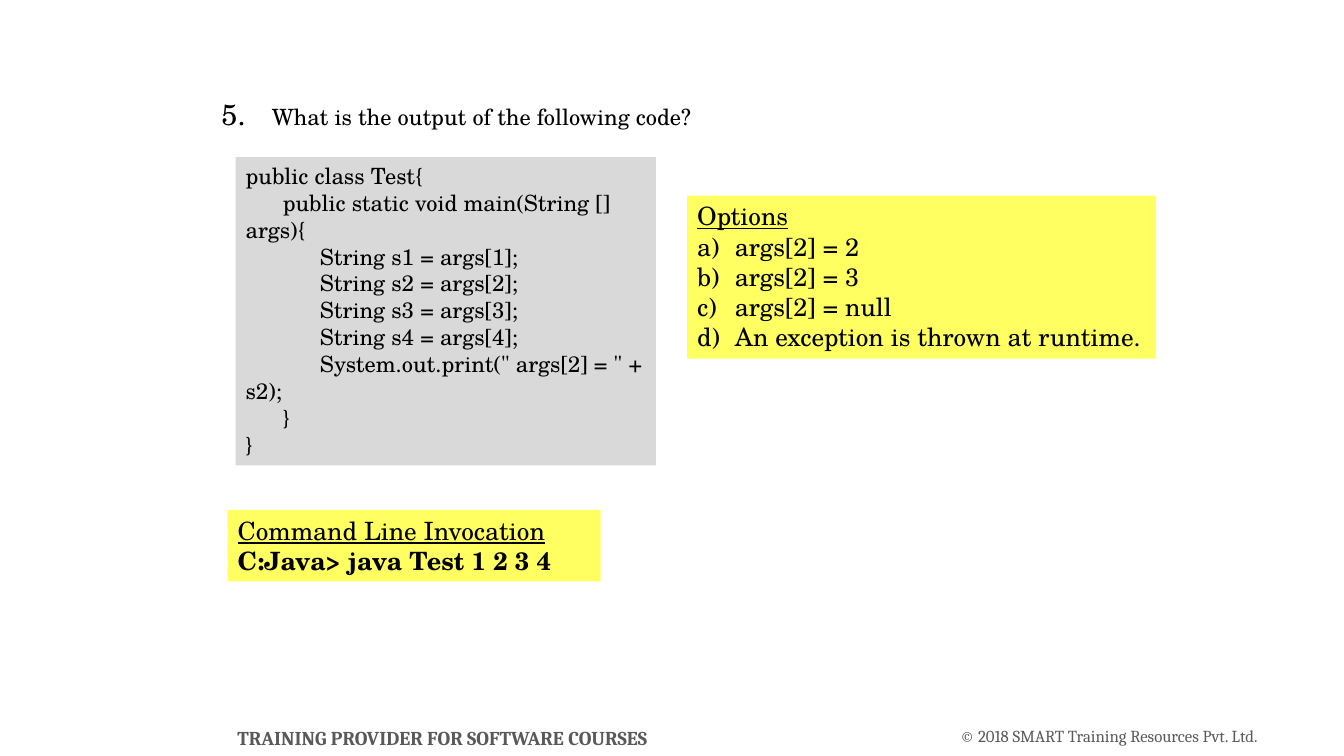
from lxml import etree
from pptx import Presentation
from pptx.dml.color import RGBColor
from pptx.enum import shapes, text
from pptx.oxml import ns
from pptx.util import Cm, Pt

BLACK = RGBColor(0x00, 0x00, 0x00)
FOOTER_GREY = RGBColor(0x59, 0x59, 0x59)
CODE_GREY = RGBColor(0xD9, 0xD9, 0xD9)
YELLOW = RGBColor(0xFF, 0xFF, 0x61)
BODY_FONT = "TeX Gyre Schola"
FOOTER_FONT = "Cambria"

CODE = """public class Test{
      public static void main(String [] args){
            String s1 = args[1];
            String s2 = args[2];
            String s3 = args[3];
            String s4 = args[4];
            System.out.print(" args[2] = " + s2);
      }
}"""
ANSWERS = ["args[2] = 2", "args[2] = 3", "args[2] = null",
           "An exception is thrown at runtime."]


def write_lines(frame, lines, size, font=BODY_FONT, color=BLACK):
    frame.word_wrap = True
    frame.text = "\n".join(lines)
    for paragraph in frame.paragraphs:
        for run in paragraph.runs:
            run.font.size = Pt(size)
            run.font.name = font
            run.font.color.rgb = color


def number(paragraph, scheme, indent, start=1, percent=100):
    """Give a paragraph an automatic number in a hanging indent."""
    props = paragraph._p.get_or_add_pPr()
    props.set("marL", str(indent))
    props.set("indent", str(-indent))
    etree.SubElement(props, ns.qn("a:buSzPct"), val=str(percent * 1000))
    etree.SubElement(props, ns.qn("a:buAutoNum"), type=scheme, startAt=str(start))


def add_panel(slide, box, fill, lines, size):
    """Draw a filled panel with left-aligned lines and return its paragraphs."""
    panel = slide.shapes.add_shape(shapes.MSO_SHAPE.RECTANGLE, *box)
    panel.shadow.inherit = False
    panel.fill.solid()
    panel.fill.fore_color.rgb = fill
    panel.line.fill.background()
    frame = panel.text_frame
    frame.vertical_anchor = text.MSO_ANCHOR.TOP
    write_lines(frame, lines, size)
    for paragraph in frame.paragraphs:
        paragraph.alignment = text.PP_ALIGN.LEFT
    return frame.paragraphs


def add_question(slide, box, wording, start):
    frame = slide.shapes.add_textbox(*box).text_frame
    write_lines(frame, [wording], 16)
    question = frame.paragraphs[0]
    number(question, "arabicPeriod", Cm(1.27), start, 130)
    question.line_spacing = 1.5


def add_options(slide, box, answers):
    heading, *options = add_panel(slide, box, YELLOW, ["Options", *answers], 18)
    heading.runs[0].font.underline = True
    for option in options:
        number(option, "alphaLcParenR", Cm(0.95))


def add_invocation(slide, box, command):
    heading, call = add_panel(slide, box, YELLOW,
                              ["Command Line Invocation", command], 18)
    heading.runs[0].font.underline = True
    call.runs[0].font.bold = True


def add_footer(slide, box, wording, size, bold=False):
    frame = slide.shapes.add_textbox(*box).text_frame
    frame.margin_left = frame.margin_right = 0
    frame.margin_top = frame.margin_bottom = 0
    frame.vertical_anchor = text.MSO_ANCHOR.MIDDLE
    write_lines(frame, [wording], size, FOOTER_FONT, FOOTER_GREY)
    label = frame.paragraphs[0]
    label.alignment = text.PP_ALIGN.CENTER
    label.runs[0].font.bold = bold


def main():
    deck = Presentation()
    deck.slide_width, deck.slide_height = Cm(33.87), Cm(19.05)
    slide = deck.slides.add_slide(deck.slide_layouts[6])

    # Footer
    add_footer(slide, (Cm(2.82), Cm(18.29), Cm(16.66), Cm(0.61)),
               "TRAINING PROVIDER FOR SOFTWARE COURSES", 14, bold=True)
    add_footer(slide, (Cm(23.9), Cm(18.29), Cm(8.1), Cm(0.51)),
               "© 2018 SMART Training Resources Pvt. Ltd.", 12)

    # Question and code
    add_question(slide, (Cm(5.33), Cm(2.13), Cm(23.8), Cm(1.5)),
                 "What is the output of the following code?", 5)
    add_panel(slide, (Cm(5.94), Cm(3.96), Cm(10.59), Cm(7.77)),
              CODE_GREY, CODE.split("\n"), 16)

    # Answers and command line
    add_options(slide, (Cm(17.32), Cm(4.93), Cm(11.81), Cm(4.11)), ANSWERS)
    add_invocation(slide, (Cm(5.74), Cm(12.85), Cm(9.4), Cm(1.8)),
                   "C:Java> java Test 1 2 3 4")

    deck.save("out.pptx")


if __name__ == "__main__":
    main()
